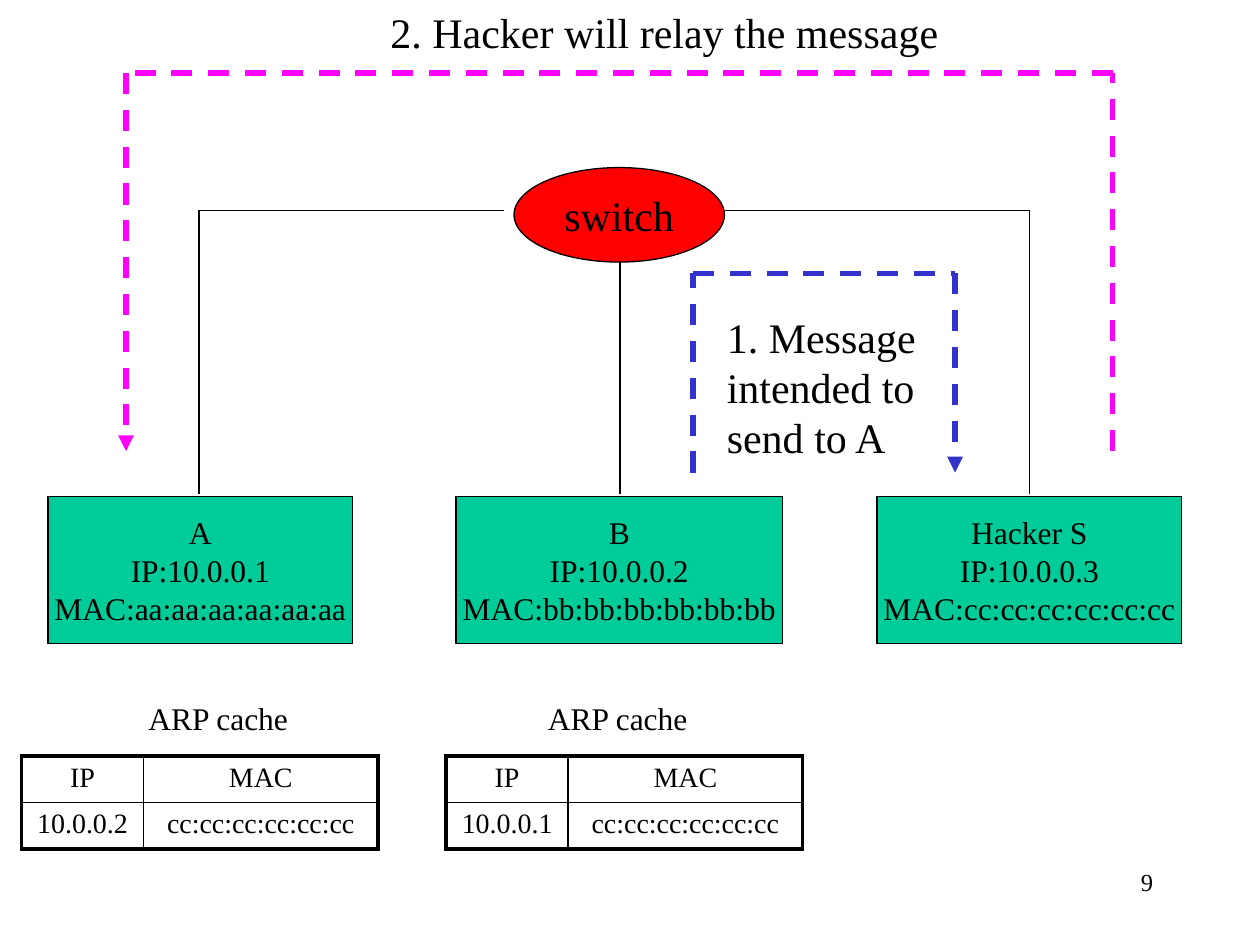
from dataclasses import dataclass
from itertools import pairwise

from lxml import etree
from pptx import Presentation
from pptx import util as u
from pptx.dml.color import RGBColor
from pptx.enum import dml, shapes, text
from pptx.oxml import ns

I = u.Inches


@dataclass(frozen=True)
class Theme:
    """Colours, font and type sizes of the slide."""
    font: str = "Times New Roman"
    ink: str = "000000"
    host: str = "00CC99"
    switch: str = "FF0000"
    relay: str = "FF00FF"
    message: str = "3333CC"
    large: int = 24
    body: int = 18
    cell: int = 16
    small: int = 14


T = Theme()


def apply(obj, values):
    """Set each named attribute of an object."""
    for name, value in values.items():
        setattr(obj, name, value)


def write(tf, lines, size, align, **frame):
    """Write one styled paragraph per line."""
    apply(tf, frame)
    for i, line in enumerate(lines):
        p = tf.paragraphs[0] if i == 0 else tf.add_paragraph()
        p.alignment = align
        r = p.add_run()
        r.text = line
        apply(r.font, {"name": T.font, "size": u.Pt(size)})
        r.font.color.rgb = RGBColor.from_string(T.ink)


def add_node(slide, kind, box, lines, fill, size):
    """Add a filled, outlined shape with centred text."""
    sp = slide.shapes.add_shape(kind, *map(I, box))
    sp.shadow.inherit = False
    sp.fill.solid()
    sp.fill.fore_color.rgb = RGBColor.from_string(fill)
    sp.line.color.rgb = RGBColor.from_string(T.ink)
    sp.line.width = u.Pt(0.75)
    write(sp.text_frame, lines, size, text.PP_ALIGN.CENTER,
          word_wrap=False, vertical_anchor=text.MSO_ANCHOR.MIDDLE)


def add_label(slide, box, lines, size, align=text.PP_ALIGN.LEFT, wrap=False):
    """Add a plain text box."""
    sp = slide.shapes.add_textbox(*map(I, box))
    write(sp.text_frame, lines, size, align, word_wrap=wrap)


def add_path(slide, points, color=T.ink, width=0.75, dashed=False, arrow=False):
    """Join points with straight lines, optionally ending in an arrowhead."""
    for start, end in pairwise(points):
        sp = slide.shapes.add_connector(
            shapes.MSO_CONNECTOR.STRAIGHT, *map(I, start + end))
        sp.line.color.rgb = RGBColor.from_string(color)
        sp.line.width = u.Pt(width)
        if dashed:
            sp.line.dash_style = dml.MSO_LINE.DASH
        if arrow and end == points[-1]:
            ln = sp.line._get_or_add_ln()
            etree.SubElement(ln, ns.qn("a:tailEnd"), type="triangle")
        etree.SubElement(sp._element.spPr, ns.qn("a:effectLst"))


def add_borders(cell, widths):
    """Draw the left, right, top and bottom borders of a cell."""
    tc_pr = cell._tc.get_or_add_tcPr()
    for i, (side, width) in enumerate(zip("LRTB", widths)):
        ln = etree.Element(ns.qn(f"a:ln{side}"), w=str(u.Pt(width)))
        fill = etree.SubElement(ln, ns.qn("a:solidFill"))
        etree.SubElement(fill, ns.qn("a:srgbClr"), val=T.ink)
        tc_pr.insert(i, ln)


def add_cache(slide, left, rows):
    """Add an ARP cache table with a heavy outer frame."""
    table = slide.shapes.add_table(2, 2, I(left), I(6), I(2.83), I(0.74)).table
    apply(table, {"first_row": False, "horz_banding": False})
    for col, width in zip(table.columns, (0.97, 1.86)):
        col.width = I(width)
    for y, row in enumerate(rows):
        for x, value in enumerate(row):
            cell = table.cell(y, x)
            cell.fill.background()
            outer = (x == 0, x == 1, y == 0, y == 1)
            add_borders(cell, [2.25 if edge else 1 for edge in outer])
            write(cell.text_frame, [value], T.cell, text.PP_ALIGN.CENTER)


def main():
    """Build the slide and save it."""
    prs = Presentation()
    apply(prs, {"slide_width": I(10), "slide_height": I(7.5)})
    slide = prs.slides.add_slide(prs.slide_layouts[6])

    hosts = (("A", 1, "a", 0.38, 2.42), ("B", 2, "b", 3.62, 2.59),
             ("Hacker S", 3, "c", 6.96, 2.42))
    for name, number, letter, left, width in hosts:
        mac = ":".join([letter * 2] * 6)
        lines = [name, f"IP:10.0.0.{number}", f"MAC:{mac}"]
        add_node(slide, shapes.MSO_SHAPE.RECTANGLE,
                 (left, 3.94, width, 1.17), lines, T.host, T.body)
    add_node(slide, shapes.MSO_SHAPE.OVAL, (4.08, 1.33, 1.67, 0.75),
             ["switch"], T.switch, T.large)

    for cable in (((4.92, 2.08), (4.92, 3.92)),
                  ((4, 1.67), (1.58, 1.67), (1.58, 3.92)),
                  ((5.75, 1.67), (8.17, 1.67), (8.17, 3.92))):
        add_path(slide, cable)

    hacker_mac = ":".join(["cc"] * 6)
    for label_left, left, ip in ((1.08, 0.17, "10.0.0.2"),
                                 (4.25, 3.54, "10.0.0.1")):
        add_label(slide, (label_left, 5.5, 1.32, 0.4), ["ARP cache"], T.body)
        add_cache(slide, left, (("IP", "MAC"), (ip, hacker_mac)))

    routes = ((T.relay, ((8.83, 3.58), (8.83, 0.58), (1, 0.58), (1, 3.58))),
              (T.message, ((5.5, 3.75), (5.5, 2.17), (7.58, 2.17), (7.58, 3.75))))
    for color, points in routes:
        add_path(slide, points, color, 3, dashed=True, arrow=True)

    add_label(slide, (3, 0, 4.59, 0.51),
              ["2. Hacker will relay the message"], T.large)
    add_label(slide, (5.67, 2.42, 1.83, 1.31),
              ["1. Message", "intended to", "send to A"], T.large, wrap=True)
    add_label(slide, (7.17, 6.83, 2.08, 0.5), ["9"], T.small,
              text.PP_ALIGN.RIGHT, wrap=True)
    prs.save("out.pptx")


main()
